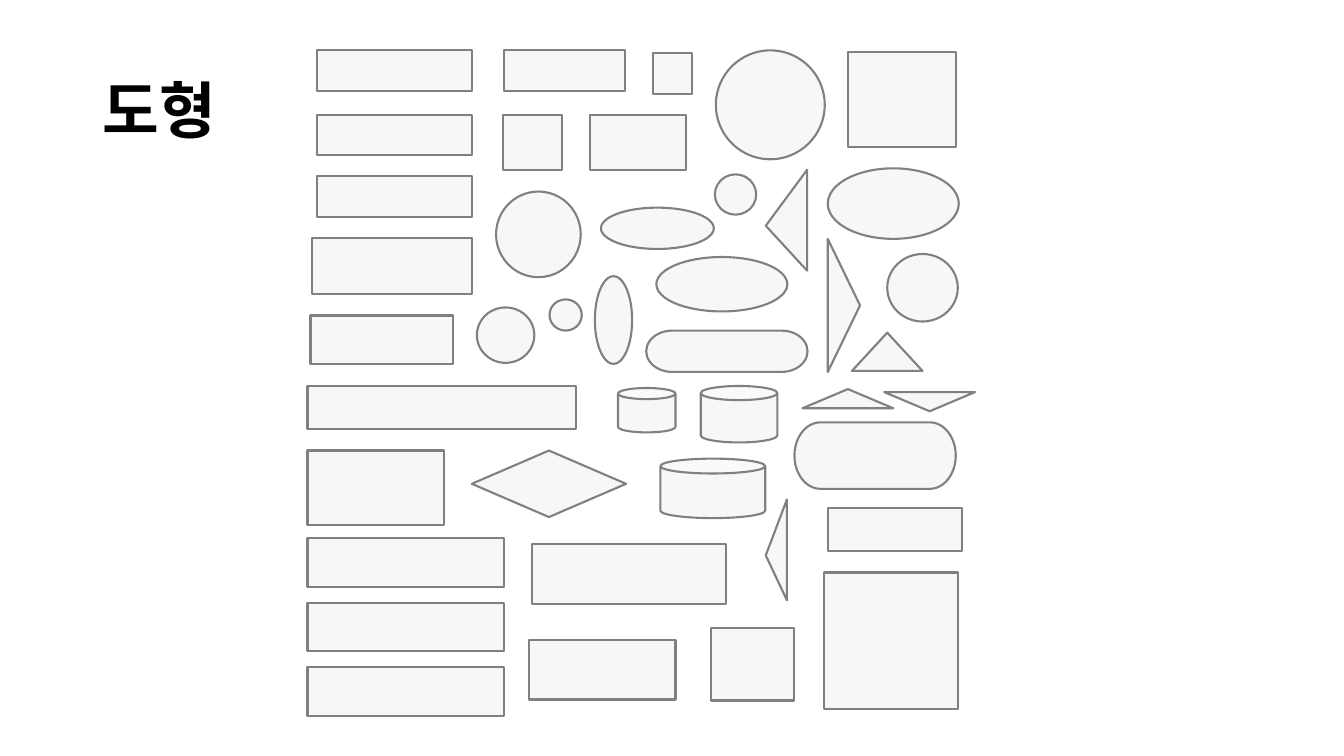
from dataclasses import dataclass

from pptx import Presentation
from pptx.dml.color import RGBColor as RGB
from pptx.enum.shapes import MSO_SHAPE as Kind
from pptx.enum.text import MSO_ANCHOR as Anchor
from pptx.util import Pt

PX = 9144  # EMU in one px, 100 px to the inch


@dataclass(frozen=True)
class Theme:
    ink: RGB = RGB(0x00, 0x00, 0x00)
    fill: RGB = RGB(0xF7, 0xF7, 0xF7)
    edge: RGB = RGB(0x80, 0x80, 0x80)
    font: str = "Lato"
    title: Pt = Pt(44)
    line: Pt = Pt(1.5)


THEME = Theme()

# Each box is left, top, width, height in px.
BARS = [(314, top, 154, 40) for top in (50, 114, 175)]
ROWS = [(305, 534 + 64 * i, 195, 48) for i in range(3)]
RECTS = BARS + ROWS + [
    (309, 236, 159, 56), (308, 313, 141, 48), (305, 383, 266, 43),
    (305, 447, 135, 74), (500, 50, 120, 40), (648, 53, 38, 40),
    (499, 114, 58, 55), (585, 114, 95, 55), (841, 52, 107, 94),
    (821, 504, 133, 43), (817, 568, 133, 135), (528, 540, 192, 59),
    (525, 635, 145, 59), (705, 623, 83, 72),
]
OVALS = [
    (710, 50, 108, 108), (821, 167, 130, 70), (880, 252, 70, 67),
    (596, 206, 112, 41), (651, 255, 130, 54), (492, 190, 84, 85),
    (473, 305, 57, 55), (545, 297, 32, 31), (709, 173, 41, 40),
    (590, 274, 37, 87),
]
PILLS = [(788, 419, 160, 66), (641, 328, 160, 41)]
CANS = [(655, 455, 104, 59), (695, 383, 76, 56), (613, 385, 57, 44)]
GEMS = [(468, 447, 153, 66)]

# Triangles by the way they point: turn in degrees, tip position, boxes.
WEDGES = [
    (0, 0.5, [(796, 386, 90, 19), (845, 330, 70, 38)]),
    (90, 0.5, [(771, 287, 132, 32)]),
    (180, 0.5, [(877, 389, 90, 19)]),
    (270, 0.446, [(730, 198, 100, 41), (720, 535, 100, 21)]),
]


def scale(box):
    return [n * PX for n in box]


def add_title(slide, text, box):
    frame = slide.shapes.add_textbox(*scale(box)).text_frame
    frame.word_wrap = True
    frame.vertical_anchor = Anchor.MIDDLE
    frame.text = text
    para = frame.paragraphs[0]
    para.line_spacing = 0.9
    font = para.runs[0].font
    font.name, font.size, font.bold = THEME.font, THEME.title, True
    font.color.rgb = THEME.ink


def add_shape(slide, kind, box):
    shape = slide.shapes.add_shape(kind, *scale(box))
    shape.shadow.inherit = False
    shape.fill.solid()
    shape.fill.fore_color.rgb = THEME.fill
    shape.line.color.rgb = THEME.edge
    shape.line.width = THEME.line
    return shape


def add_wedge(slide, box, turn, tip):
    shape = add_shape(slide, Kind.ISOSCELES_TRIANGLE, box)
    shape.rotation = turn
    shape.adjustments[0] = tip


def main():
    deck = Presentation()
    deck.slide_width, deck.slide_height = scale((1333, 750))
    slide = deck.slides.add_slide(deck.slide_layouts[6])

    add_title(slide, "도형", (92, 40, 1150, 145))
    for kind, boxes in (
        (Kind.RECTANGLE, RECTS),
        (Kind.OVAL, OVALS),
        (Kind.FLOWCHART_TERMINATOR, PILLS),
        (Kind.CAN, CANS),
        (Kind.DIAMOND, GEMS),
    ):
        for box in boxes:
            add_shape(slide, kind, box)
    for turn, tip, boxes in WEDGES:
        for box in boxes:
            add_wedge(slide, box, turn, tip)

    deck.save("out.pptx")


if __name__ == "__main__":
    main()
